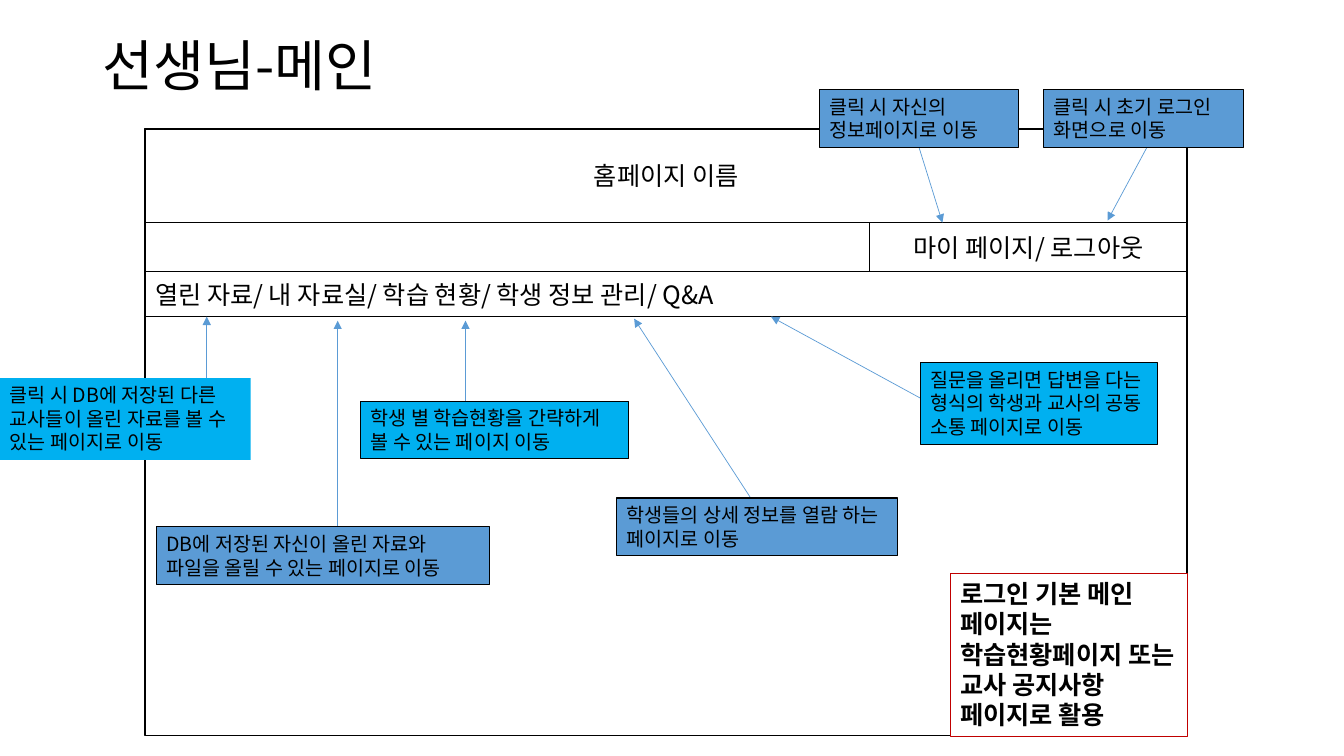
from pptx import Presentation
from pptx.dml.color import RGBColor
from pptx.enum import shapes, text
from pptx.oxml.ns import qn
from pptx.util import Cm, Pt
from lxml import etree

FONT = "Noto Sans CJK KR"
BLACK = RGBColor(0x00, 0x00, 0x00)
WHITE = RGBColor(0xFF, 0xFF, 0xFF)
BLUE = RGBColor(0x5B, 0x9B, 0xD5)
CYAN = RGBColor(0x00, 0xB0, 0xF0)
RED = RGBColor(0xC0, 0x00, 0x00)

LEFT, CENTER = text.PP_ALIGN.LEFT, text.PP_ALIGN.CENTER
TOP, MIDDLE = text.MSO_ANCHOR.TOP, text.MSO_ANCHOR.MIDDLE

# Boxes are (left, top, width, height) in centimetres.
TITLE = (2.34, 0.84, 28.32, 1.78)
PAGE = (3.66, 3.25, 26.26, 15.29)
NOTE = (23.95, 14.45, 5.97, 4.11)

# Each callout: box, fill, outlined, arrow start within the box, arrow tip, wording
CALLOUTS = [
    ((20.65, 2.26, 5.03, 1.45), BLUE, True, (2.51, 1.45), (23.75, 5.61),
     "클릭 시 자신의 정보페이지로 이동"),
    ((26.31, 2.26, 5.03, 1.45), BLUE, True, (2.65, 1.35), (27.91, 5.56),
     "클릭 시 초기 로그인 화면으로 이동"),
    ((0, 9.53, 6.32, 2.06), CYAN, False, (5.21, 0), (5.21, 7.98),
     "클릭 시 DB에 저장된 다른 교사들이 올린 자료를 볼 수 있는 페이지로 이동"),
    ((3.94, 13.28, 8.41, 1.45), BLUE, True, (4.57, 0), (8.51, 8.08),
     "DB에 저장된 자신이 올린 자료와 파일을 올릴 수 있는 페이지로 이동"),
    ((9.09, 10.11, 6.76, 1.45), CYAN, True, (2.64, 0), (11.73, 8.08),
     "학생 별 학습현황을 간략하게 볼 수 있는 페이지 이동"),
    ((15.54, 12.55, 7.09, 1.45), BLUE, True, (3.38, 0), (15.98, 8.03),
     "학생들의 상세 정보를 열람 하는 페이지로 이동"),
    ((23.19, 9.14, 5.97, 2.06), CYAN, True, (0, 0.89), (19.43, 7.98),
     "질문을 올리면 답변을 다는 형식의 학생과 교사의 공동 소통 페이지로 이동"),
]


def write(shape, wording, size, align=LEFT, anchor=MIDDLE, bold=False):
    frame = shape.text_frame
    frame.text = wording
    frame.word_wrap = True
    frame.vertical_anchor = anchor
    paragraph = frame.paragraphs[0]
    paragraph.alignment = align
    for run in paragraph.runs:
        run.font.size = Pt(size)
        run.font.bold = bold
        run.font.name = FONT
        run.font.color.rgb = BLACK
        east_asian = etree.SubElement(run.font._element, qn("a:ea"))
        east_asian.set("typeface", FONT)
    return paragraph


def add_panel(slide, box, fill=WHITE, line=BLACK, weight=1):
    panel = slide.shapes.add_shape(shapes.MSO_SHAPE.RECTANGLE, *map(Cm, box))
    panel.shadow.inherit = False
    panel.fill.solid()
    panel.fill.fore_color.rgb = fill
    if line is None:
        panel.line.fill.background()
    else:
        panel.line.color.rgb = line
        panel.line.width = Pt(weight)
    return panel


def add_arrow(slide, start, tip):
    arrow = slide.shapes.add_connector(
        shapes.MSO_CONNECTOR.STRAIGHT, *map(Cm, start + tip))
    arrow.line.color.rgb = BLUE
    arrow.line.width = Pt(0.5)
    head = etree.SubElement(arrow.line._get_or_add_ln(), qn("a:tailEnd"))
    head.set("type", "triangle")
    etree.SubElement(arrow._element.spPr, qn("a:effectLst"))


def add_title(slide, box):
    title = slide.shapes.add_textbox(*map(Cm, box))
    write(title, "선생님-메인", 39.6).line_spacing = 0.9


def add_page_mockup(slide, box):
    left, top, width, height = box
    header_height, account_height, menu_height = 2.36, 1.24, 1.12
    account_width = 8
    account_top = top + header_height
    menu_top = account_top + account_height

    add_panel(slide, box)
    header = add_panel(slide, (left, top, width, header_height))
    write(header, "홈페이지 이름", 18, CENTER)
    account = add_panel(slide, (left + width - account_width, account_top,
                                account_width, account_height))
    write(account, "마이 페이지/ 로그아웃", 18, CENTER)
    menu = add_panel(slide, (left, menu_top, width, menu_height))
    write(menu, "열린 자료/ 내 자료실/ 학습 현황/ 학생 정보 관리/ Q&A", 18)


def add_callout(slide, box, fill, outlined, start, tip, wording):
    left, top = box[:2]
    add_arrow(slide, (left + start[0], top + start[1]), tip)
    callout = add_panel(slide, box, fill, BLACK if outlined else None, 0.75)
    write(callout, wording, 14, anchor=TOP)


def add_note(slide, box):
    note = add_panel(slide, box, line=RED, weight=0.75)
    write(note, "로그인 기본 메인 페이지는 학습현황페이지 또는 교사 공지사항 "
                "페이지로 활용", 18, anchor=TOP, bold=True)


def main():
    deck = Presentation()
    deck.slide_width, deck.slide_height = Cm(33.87), Cm(19.05)
    slide = deck.slides.add_slide(deck.slide_layouts[6])
    add_title(slide, TITLE)
    add_page_mockup(slide, PAGE)
    for callout in CALLOUTS:
        add_callout(slide, *callout)
    add_note(slide, NOTE)
    deck.save("out.pptx")


if __name__ == "__main__":
    main()
